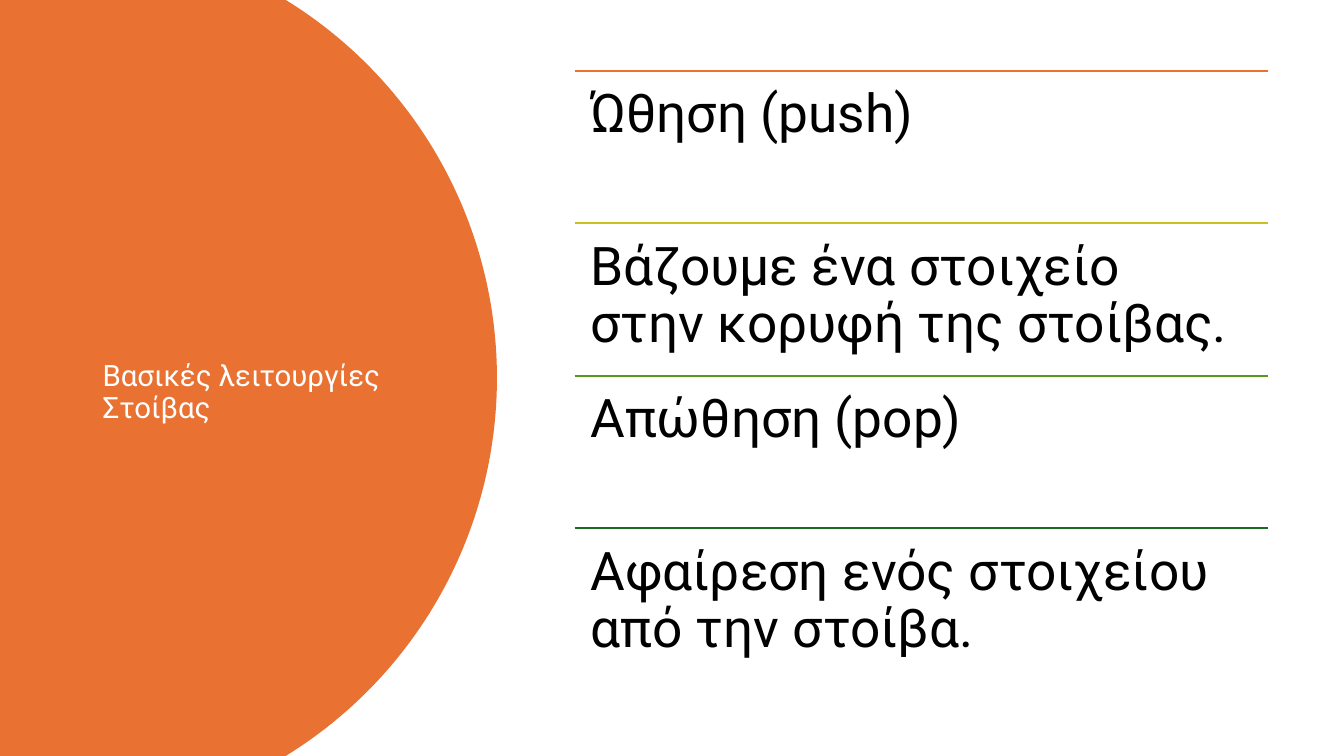
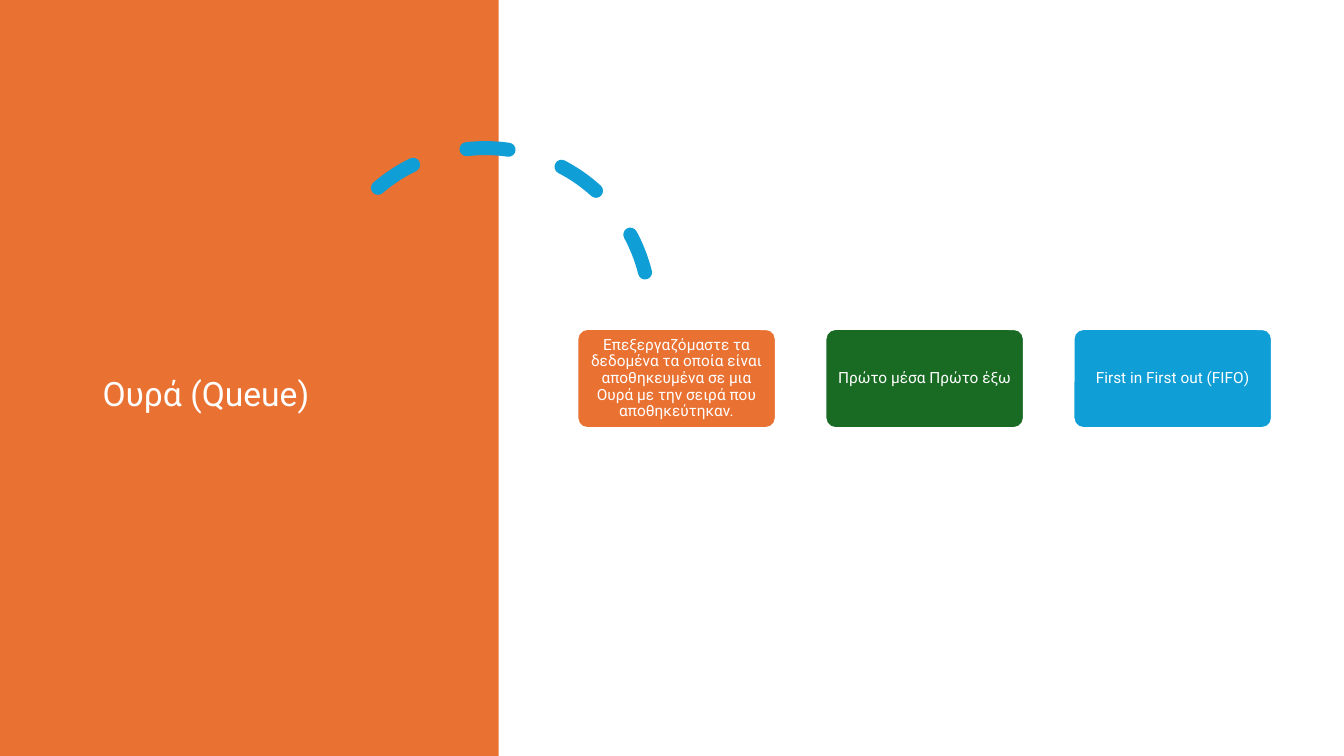
from math import asin, cos, sin

from pptx import Presentation
from pptx.dml.color import RGBColor
from pptx.enum.dml import MSO_LINE
from pptx.enum.shapes import MSO_CONNECTOR, MSO_SHAPE
from pptx.enum.text import MSO_ANCHOR, PP_ALIGN
from pptx.oxml.ns import qn
from pptx.util import Pt
from lxml import etree

ORANGE = RGBColor(0xE9, 0x71, 0x32)
LIME = RGBColor(0xCB, 0xC1, 0x1E)
GREEN = RGBColor(0x56, 0x99, 0x1D)
FOREST = RGBColor(0x19, 0x6B, 0x24)
BLUE = RGBColor(0x0F, 0x9E, 0xD5)
WHITE = RGBColor(0xFF, 0xFF, 0xFF)
BLACK = RGBColor(0, 0, 0)

RECT, ROUND, ARC = MSO_SHAPE.RECTANGLE, MSO_SHAPE.ROUNDED_RECTANGLE, MSO_SHAPE.ARC
STRAIGHT, DASH = MSO_CONNECTOR.STRAIGHT, MSO_LINE.DASH
TOP, MIDDLE = MSO_ANCHOR.TOP, MSO_ANCHOR.MIDDLE
LEFT, CENTER = PP_ALIGN.LEFT, PP_ALIGN.CENTER

WIDTH, HEIGHT = 960, 540


class Deck:
    font = "Roboto"
    leading = 0.9
    stroke = 1.5

    def __init__(self):
        self.prs = Presentation()
        self.prs.slide_width, self.prs.slide_height = Pt(WIDTH), Pt(HEIGHT)
        self.slide = None

    def add(self):
        self.slide = self.prs.slides.add_slide(self.prs.slide_layouts[6])

    def label(self, shape, text, size, color, align, anchor, insets):
        frame = shape.text_frame
        frame.word_wrap = True
        frame.vertical_anchor = anchor
        (frame.margin_left, frame.margin_top,
         frame.margin_right, frame.margin_bottom) = map(Pt, insets)
        para = frame.paragraphs[0]
        para.text = text
        para.alignment = align
        para.line_spacing = self.leading
        para.font.name = self.font
        para.font.size = Pt(size)
        para.font.color.rgb = color

    def text(self, box, text, size, color, anchor, insets):
        shape = self.slide.shapes.add_textbox(*map(Pt, box))
        self.label(shape, text, size, color, LEFT, anchor, insets)

    def title(self, text, size):
        # The title sits half a line below the middle of the slide
        box = 66.2, 50.4 + size * 0.53, 232.6, 438.5
        self.text(box, text, size, WHITE, MIDDLE, (7.2, 3.6, 7.2, 3.6))

    def paint(self, shape, fill):
        shape.shadow.inherit = False
        shape.fill.solid()
        shape.fill.fore_color.rgb = fill
        shape.line.fill.background()

    def block(self, kind, box, fill):
        shape = self.slide.shapes.add_shape(kind, *map(Pt, box))
        self.paint(shape, fill)
        return shape

    def disc(self, mid, radius, fill, steps=120):
        # Part of a circle, cut off by the slide's left, top and bottom edges
        half = asin(HEIGHT / 2 / radius)
        turns = [half * (2 * i / steps - 1) for i in range(steps + 1)]
        rim = [(Pt(mid + radius * cos(t)), Pt(HEIGHT / 2 + radius * sin(t)))
               for t in turns]
        form = self.slide.shapes.build_freeform(0, 0)
        form.add_line_segments(rim + [(0, Pt(HEIGHT))])
        self.paint(form.convert_to_shape(), fill)

    def rule(self, left, top, width, color):
        ends = map(Pt, (left, top, left + width, top))
        line = self.slide.shapes.add_connector(STRAIGHT, *ends)
        line.line.color.rgb = color
        line.line.width = Pt(self.stroke)
        etree.SubElement(line.element.spPr, qn("a:effectLst"))

    def arc(self, box, turn, start, end, color, width):
        shape = self.slide.shapes.add_shape(ARC, *map(Pt, box))
        shape.shadow.inherit = False
        shape.rotation = turn
        shape.adjustments[0], shape.adjustments[1] = start, end
        shape.fill.background()
        shape.line.color.rgb = color
        shape.line.width = Pt(width)
        shape.line.dash_style = DASH
        shape.element.spPr.find(qn("a:ln")).set("cap", "rnd")

    def card(self, box, text, fill):
        shape = self.block(ROUND, box, fill)
        shape.adjustments[0] = 0.1
        shape.line.color.rgb = WHITE
        shape.line.width = Pt(self.stroke)
        self.label(shape, text, 11, WHITE, CENTER, MIDDLE, (4, 2, 4, 2))


def stack(deck):
    deck.add()
    deck.disc(38, 317, ORANGE)
    deck.title("Βασικές λειτουργίες Στοίβας", 21)

    # Ruled rows
    rows = [
        ("Ώθηση (push)", ORANGE),
        ("Βάζουμε ένα στοιχείο στην κορυφή της στοίβας.", LIME),
        ("Απώθηση (pop)", GREEN),
        ("Αφαίρεση ενός στοιχείου από την στοίβα.", FOREST),
    ]
    left, top, width, pitch = 410.4, 50.4, 495.4, 109
    for i, (text, color) in enumerate(rows):
        y = top + i * pitch
        deck.rule(left, y, width, color)
        deck.text((left, y, width, pitch), text, 38, BLACK, TOP,
                  (11.4, 11.4, 24, 11.4))


def queue(deck):
    deck.add()
    deck.block(RECT, (0, 0, 356.2, HEIGHT), ORANGE)
    deck.arc((229, 105.8, 235.4, 235.4), 345.8, 146.13, 0, BLUE, 10)
    deck.title("Ουρά (Queue)", 24)

    # Row of cards
    cards = [
        ("Επεξεργαζόμαστε τα δεδομένα τα οποία είναι αποθηκευμένα σε μια "
         "Ουρά με την σειρά που αποθηκεύτηκαν.", ORANGE),
        ("Πρώτο μέσα Πρώτο έξω", FOREST),
        ("First in First out (FIFO)", BLUE),
    ]
    for i, (text, color) in enumerate(cards):
        deck.card((412.4 + i * 177.2, 235, 141.8, 70.8), text, color)


def main():
    deck = Deck()
    stack(deck)
    queue(deck)
    deck.prs.save("out.pptx")


if __name__ == "__main__":
    main()
